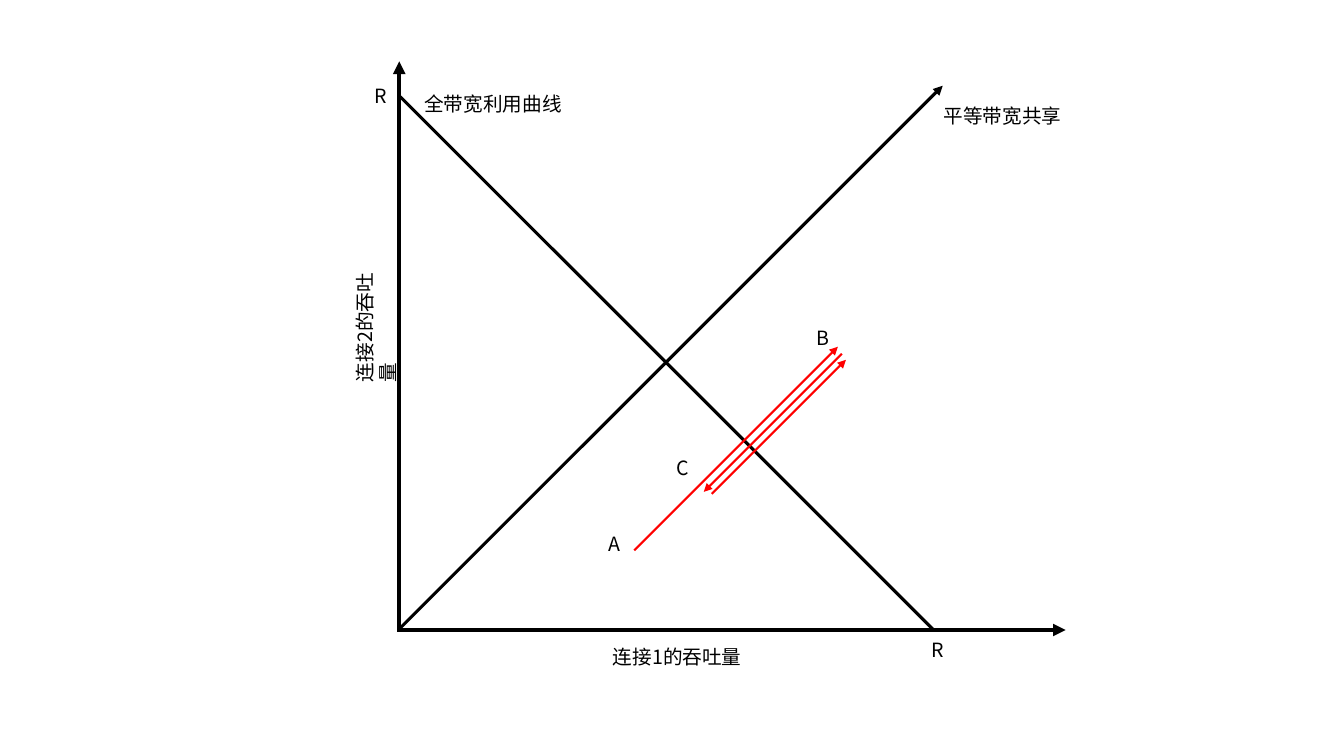
from lxml import etree
from pptx import Presentation
from pptx.dml.color import RGBColor
from pptx.enum.shapes import MSO_CONNECTOR
from pptx.enum.text import MSO_AUTO_SIZE
from pptx.oxml.ns import qn
from pptx.util import Inches, Pt

STRAIGHT = MSO_CONNECTOR.STRAIGHT
GROW = MSO_AUTO_SIZE.SHAPE_TO_FIT_TEXT
BLACK = RGBColor(0x00, 0x00, 0x00)
RED = RGBColor(0xFF, 0x00, 0x00)
FONT = "Noto Sans CJK SC"
BLANK_LAYOUT = 6
LABEL_HEIGHT = 0.34


def add_line(slide, start, end, color, weight, arrow=True):
    points = [Inches(value) for value in (*start, *end)]
    line = slide.shapes.add_connector(STRAIGHT, *points)
    line.line.color.rgb = color
    line.line.width = Pt(weight)
    properties = line._element.spPr
    if arrow:
        outline = properties.find(qn("a:ln"))
        etree.SubElement(outline, qn("a:tailEnd"), type="triangle")
    etree.SubElement(properties, qn("a:effectLst"))


def add_label(slide, text, left, top, width, height=LABEL_HEIGHT, vertical=False):
    label = slide.shapes.add_textbox(
        Inches(left), Inches(top), Inches(width), Inches(height)
    )
    frame = label.text_frame
    frame.word_wrap = True
    frame.auto_size = GROW
    if vertical:
        frame._txBody.bodyPr.set("vert", "vert270")
    run = frame.paragraphs[0].add_run()
    run.text = text
    run.font.name = FONT
    run.font.size = Pt(14)
    run.font.color.rgb = BLACK
    etree.SubElement(run._r.get_or_add_rPr(), qn("a:ea"), typeface=FONT)


def add_axes(slide):
    add_line(slide, (3.97, 6.25), (10.57, 6.25), BLACK, 3)
    add_line(slide, (3.96, 6.27), (3.96, 0.61), BLACK, 3)
    add_label(slide, "连接2的吞吐量", 3.45, 2.5, 0.44, 1.39, vertical=True)
    add_label(slide, "连接1的吞吐量", 5.98, 6.35, 2)
    for left, top in ((9.14, 6.28), (3.62, 0.78)):
        add_label(slide, "R", left, top, 0.42)


def add_bandwidth_lines(slide):
    add_line(slide, (3.96, 6.24), (9.35, 0.85), BLACK, 2.25)
    add_line(slide, (3.97, 0.96), (9.26, 6.25), BLACK, 2.25, arrow=False)
    add_label(slide, "平等带宽共享", 9.26, 0.98, 1.79)
    add_label(slide, "全带宽利用曲线", 4.11, 0.86, 1.59)


def add_throughput_path(slide):
    steps = (
        ((6.29, 5.46), (8.31, 3.44)),
        ((8.35, 3.51), (6.98, 4.88)),
        ((7.06, 4.9), (8.39, 3.57)),
    )
    for start, end in steps:
        add_line(slide, start, end, RED, 1.5)
    for name, left, top in (("A", 5.94, 5.23), ("B", 8, 3.18), ("C", 6.61, 4.47)):
        add_label(slide, name, left, top, 0.35)


def main():
    presentation = Presentation()
    presentation.slide_width = Inches(13.33)
    presentation.slide_height = Inches(7.5)
    slide = presentation.slides.add_slide(presentation.slide_layouts[BLANK_LAYOUT])
    add_axes(slide)
    add_bandwidth_lines(slide)
    add_throughput_path(slide)
    presentation.save("out.pptx")


main()
